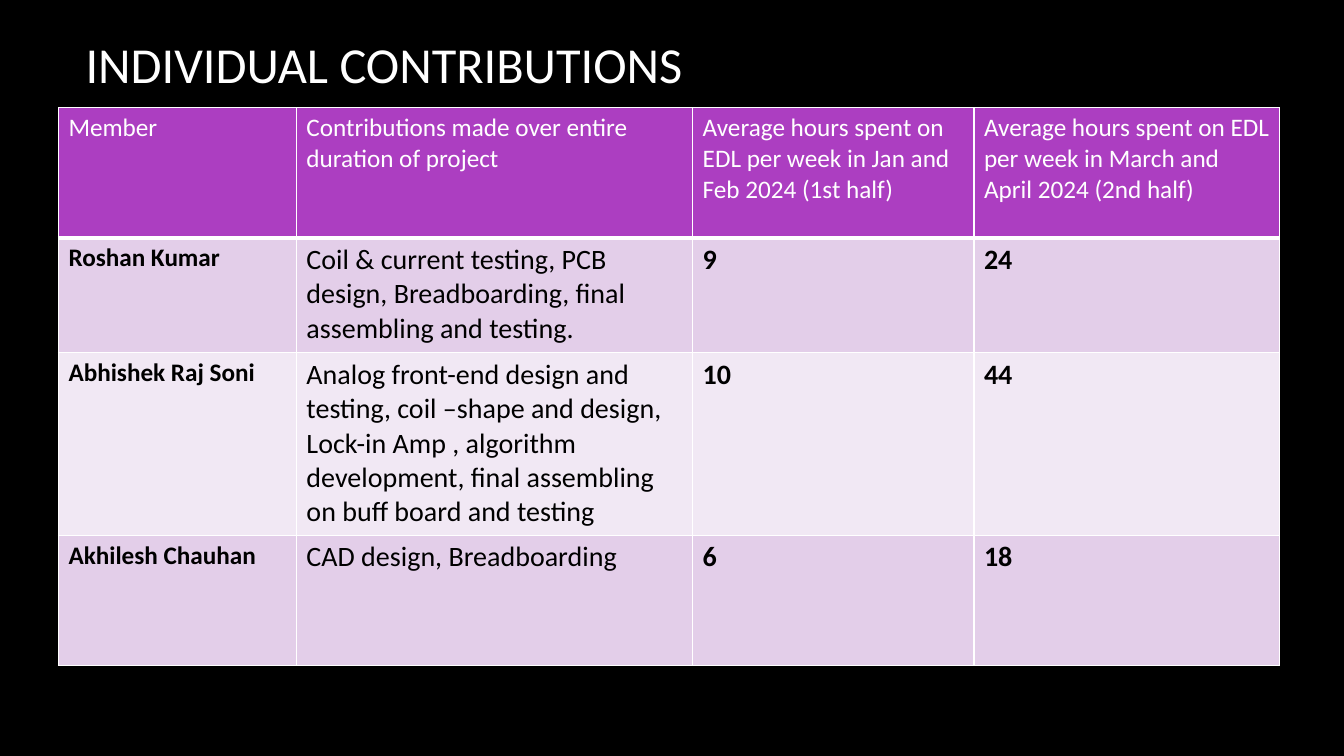
from dataclasses import dataclass

from lxml.etree import SubElement
from pptx import Presentation
from pptx.dml.color import RGBColor
from pptx.enum.text import MSO_ANCHOR
from pptx.oxml.ns import qn
from pptx.util import Inches, Pt

FONT = "Calibri"
WHITE, BLACK = "FFFFFF", "000000"
HEADER_FILL = "AC3EC1"
BAND_FILLS = ("E3CEE9", "F1E8F4")
COL_WIDTHS = (2.36, 3.93, 2.79, 3.03)
ROW_HEIGHTS = (1.29, 1.14, 1.81, 1.29)
HEADINGS = (
    "Member",
    "Contributions made over entire duration of project",
    "Average hours spent on EDL per week in Jan and Feb 2024 (1st half)",
    "Average hours spent on EDL per week in March and April 2024 (2nd half)",
)


@dataclass
class Member:
    name: str
    work: str
    first_half: int
    second_half: int


MEMBERS = (
    Member("Roshan Kumar",
           "Coil & current testing, PCB design, Breadboarding, final assembling and testing.",
           9, 24),
    Member("Abhishek Raj Soni",
           "Analog front-end design and testing, coil –shape and design, Lock-in Amp , algorithm "
           "development, final assembling on buff board and testing",
           10, 44),
    Member("Akhilesh Chauhan", "CAD design, Breadboarding", 6, 18),
)


def rgb(color: str) -> RGBColor:
    return RGBColor.from_string(color)


def write(tf, text: str, *, size: float = 18, color: str = BLACK, bold: bool = False) -> None:
    tf.word_wrap = True
    r = tf.paragraphs[0].add_run()
    r.text = text
    r.font.name = FONT
    r.font.size = Pt(size)
    r.font.bold = bold
    r.font.color.rgb = rgb(color)


def add_border(cell, side: str, width: float) -> None:
    tc_pr = cell._tc.get_or_add_tcPr()
    ln = SubElement(tc_pr, qn(f"a:ln{side}"), w=str(Pt(width)))
    fill = SubElement(ln, qn("a:solidFill"))
    SubElement(fill, qn("a:srgbClr"), val=WHITE)


def fill_cell(cell, text: str, fill: str, *, top: float = 1, bottom: float = 1, **fmt) -> None:
    for side, width in (("L", 1), ("R", 1), ("T", top), ("B", bottom)):
        add_border(cell, side, width)
    cell.fill.solid()
    cell.fill.fore_color.rgb = rgb(fill)
    write(cell.text_frame, text, **fmt)


def add_title(s, text: str) -> None:
    tf = s.shapes.add_textbox(Inches(0.75), Inches(0), Inches(11.08), Inches(1.25)).text_frame
    tf.vertical_anchor = MSO_ANCHOR.MIDDLE
    write(tf, text, size=36, color=WHITE)


def add_contributions(s) -> None:
    tbl = s.shapes.add_table(
        len(ROW_HEIGHTS), len(COL_WIDTHS), Inches(0.58), Inches(1.07),
        Inches(sum(COL_WIDTHS)), Inches(sum(ROW_HEIGHTS))).table
    for col, width in zip(tbl.columns, COL_WIDTHS):
        col.width = Inches(width)
    for row, height in zip(tbl.rows, ROW_HEIGHTS):
        row.height = Inches(height)
    for c, heading in enumerate(HEADINGS):
        fill_cell(tbl.cell(0, c), heading, HEADER_FILL, bottom=3, color=WHITE)
    for i, m in enumerate(MEMBERS):
        values = (m.name, m.work, str(m.first_half), str(m.second_half))
        for c, text in enumerate(values):
            fill_cell(tbl.cell(i + 1, c), text, BAND_FILLS[i % 2], top=3 if i == 0 else 1,
                      size=18 if c == 0 else 20, bold=c != 1)


def main() -> None:
    prs = Presentation()
    prs.slide_width, prs.slide_height = Inches(13.33), Inches(7.5)
    s = prs.slides.add_slide(prs.slide_layouts[6])
    s.background.fill.solid()
    s.background.fill.fore_color.rgb = rgb(BLACK)
    add_title(s, "INDIVIDUAL CONTRIBUTIONS")
    add_contributions(s)
    prs.save("out.pptx")


if __name__ == "__main__":
    main()
